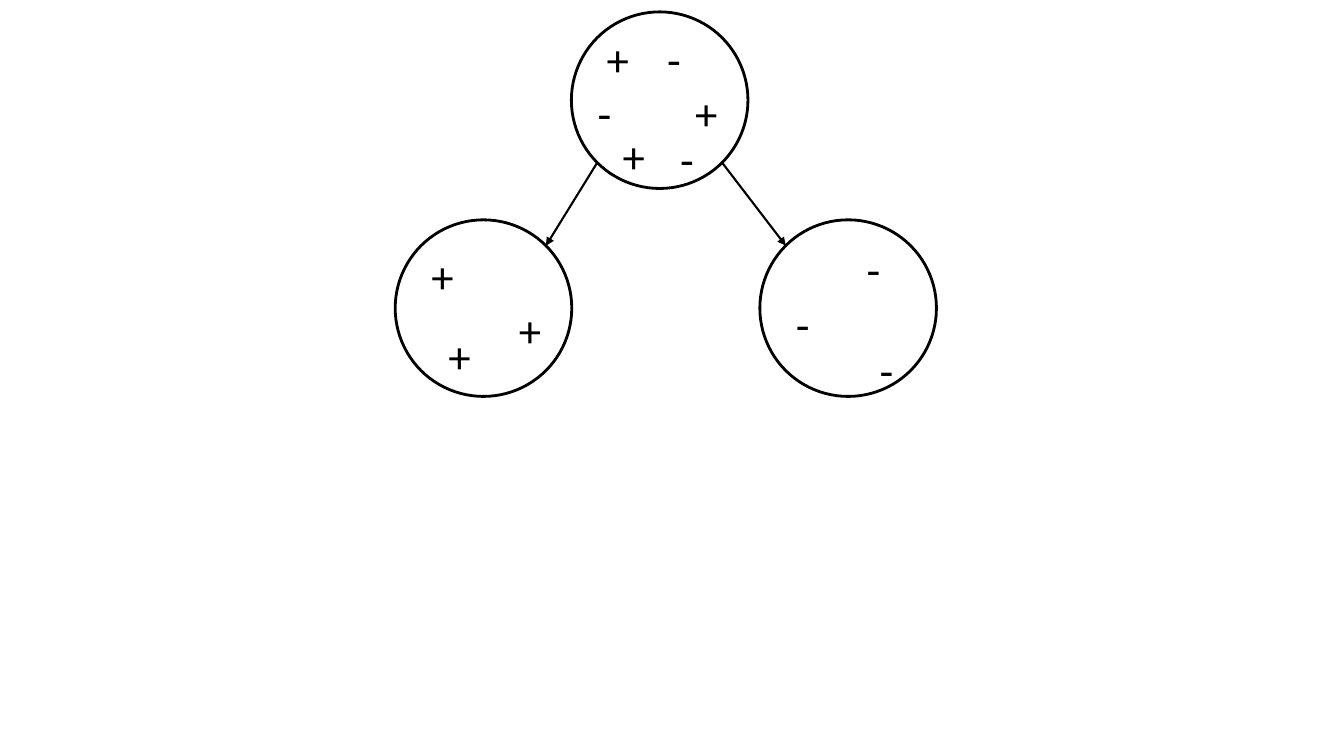
from math import sqrt

from lxml import etree
from pptx import Presentation
from pptx.dml.color import RGBColor
from pptx.enum.shapes import MSO_CONNECTOR, MSO_SHAPE
from pptx.enum.text import MSO_AUTO_SIZE, PP_ALIGN
from pptx.oxml.ns import qn
from pptx.util import Cm, Pt

LINE = MSO_CONNECTOR.STRAIGHT
NODE = MSO_SHAPE.FLOWCHART_CONNECTOR
GROW = MSO_AUTO_SIZE.SHAPE_TO_FIT_TEXT
LEFT = PP_ALIGN.LEFT

BLACK = "000000"
SIZE = 4.45
NEAR = SIZE / 2 * (1 - sqrt(0.5))
FAR = SIZE - NEAR
FRAME = {"word_wrap": True, "auto_size": GROW, "margin_right": 0}
FONT = {"name": "Calibri", "size": Pt(32)}

ROOT = (14.4, 0.3)
PLUS = (9.96, 5.54)
MINUS = (19.15, 5.54)
SIGNS = [
    (ROOT, "+", [(0.64, 0.38), (2.87, 1.73), (1.04, 2.82)]),
    (ROOT, "-", [(2.16, 0.38), (0.41, 1.73), (2.49, 2.9)]),
    (PLUS, "+", [(0.66, 0.61), (2.87, 1.96), (1.09, 2.62)]),
    (MINUS, "-", [(2.44, 0.43), (0.66, 1.8), (2.77, 2.97)]),
]


def paint(color, code):
    """Set a colour from a hex string."""
    color.rgb = RGBColor.from_string(code)


def style(item, values):
    """Set each attribute named in a dict."""
    for name, value in values.items():
        setattr(item, name, value)


def add_node(shapes, spot):
    """Draw an unfilled circle for a tree node."""
    left, top = spot
    node = shapes.add_shape(NODE, Cm(left), Cm(top), Cm(SIZE), Cm(SIZE))
    node.shadow.inherit = False
    node.fill.background()
    node.line.width = Pt(2)
    paint(node.line.color, BLACK)


def add_arrow(shapes, start, end):
    """Draw a branch with an arrowhead at its end."""
    arrow = shapes.add_connector(LINE, *map(Cm, start + end))
    arrow.line.width = Pt(1.5)
    paint(arrow.line.color, BLACK)
    tail = etree.SubElement(arrow.line._get_or_add_ln(), qn("a:tailEnd"))
    tail.set("type", "triangle")
    etree.SubElement(arrow._element.spPr, qn("a:effectLst"))


def add_sign(shapes, text, left, top):
    """Write one plus or minus sign."""
    box = shapes.add_textbox(Cm(left), Cm(top), Cm(0.48), Cm(1.63))
    style(box.text_frame, FRAME)
    para = box.text_frame.paragraphs[0]
    para.alignment = LEFT
    run = para.add_run()
    run.text = text
    style(run.font, FONT)
    paint(run.font.color, BLACK)


def main():
    """Build the tree that splits plus from minus signs."""
    deck = Presentation()
    style(deck, {"slide_width": Cm(33.87), "slide_height": Cm(19.05)})
    slide = deck.slides.add_slide(deck.slide_layouts[6])
    shapes = slide.shapes.add_group_shape().shapes

    for spot in (ROOT, PLUS, MINUS):
        add_node(shapes, spot)
    for leaf, out, into in ((PLUS, NEAR, FAR), (MINUS, FAR, NEAR)):
        start = (ROOT[0] + out, ROOT[1] + FAR)
        add_arrow(shapes, start, (leaf[0] + into, leaf[1] + NEAR))
    for (left, top), text, places in SIGNS:
        for dx, dy in places:
            add_sign(shapes, text, left + dx, top + dy)

    deck.save("out.pptx")


if __name__ == "__main__":
    main()
